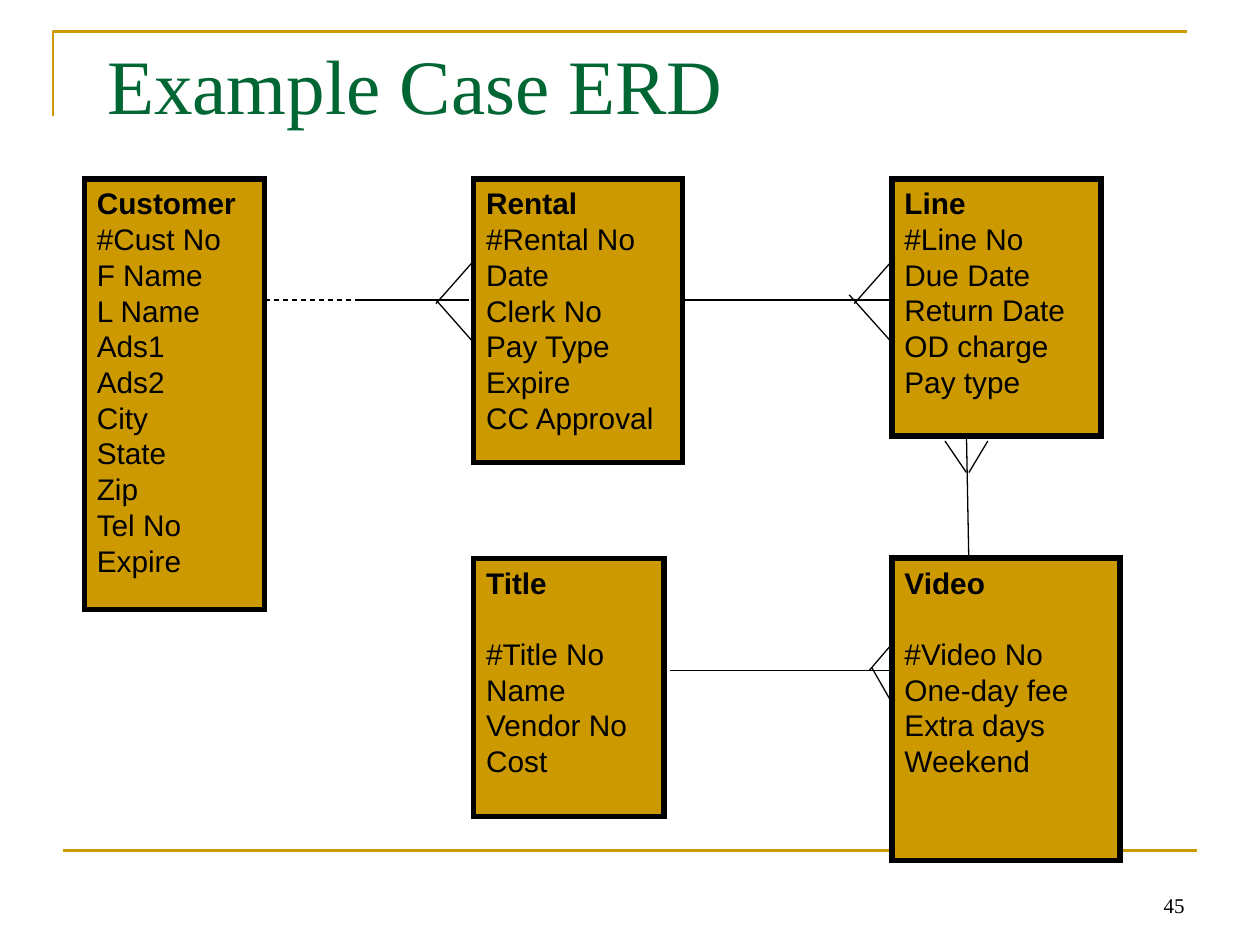
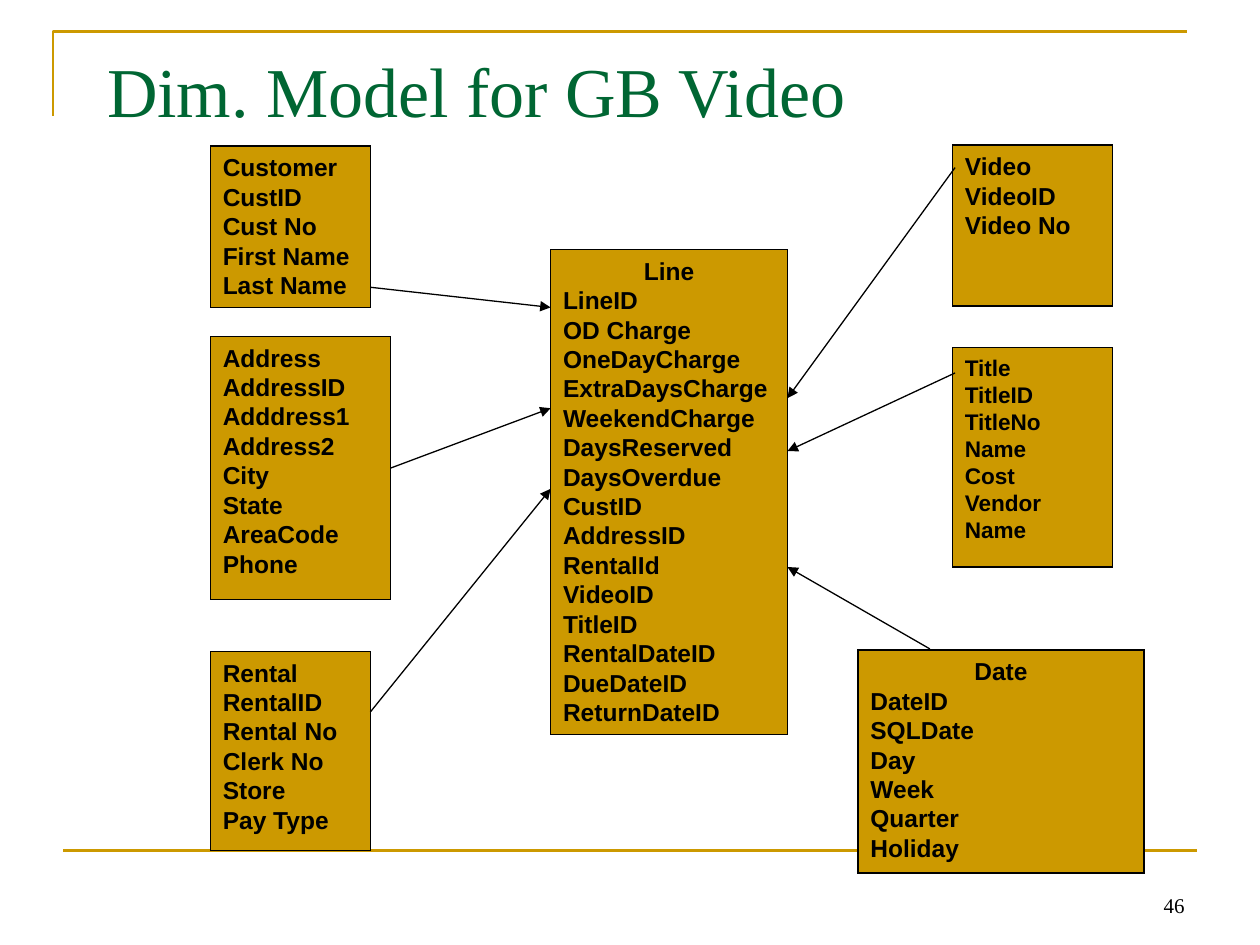
from dataclasses import dataclass

from lxml import etree
from pptx import Presentation
from pptx import util as u
from pptx.dml.color import RGBColor
from pptx.enum import dml, shapes, text
from pptx.oxml.ns import qn

PX = 9144  # EMU in one px, 100 px to the inch


@dataclass(frozen=True)
class Theme:
    gold: RGBColor = RGBColor(0xCC, 0x99, 0x00)
    green: RGBColor = RGBColor(0x00, 0x66, 0x33)
    ink: RGBColor = RGBColor(0, 0, 0)
    title_font: str = "Times New Roman"
    body_font: str = "Arial"
    number_size: float = 12
    erd_size: float = 17
    model_size: float = 14
    small_size: float = 12.9
    frame_line: float = 1.5
    thin_line: float = 0.75
    thick_line: float = 3


def px(*lengths):
    return [u.Emu(length * PX) for length in lengths]


class Deck:
    """Holds the style and the slide being drawn."""

    def __init__(self, theme):
        self.theme = theme
        self.prs = Presentation()
        self.prs.slide_width, self.prs.slide_height = px(1000, 750)
        self.slide = None

    def start(self, title, box, size, number):
        self.slide = self.prs.slides.add_slide(self.prs.slide_layouts[5])
        self.frame()
        self.title(title, box, size)
        self.number(number)

    def frame(self):
        corner = self.slide.shapes.build_freeform(42, 92, scale=PX)
        corner.add_line_segments([(42, 25), (942, 25)], close=False)
        bracket = corner.convert_to_shape()
        bracket.shadow.inherit = False
        bracket.fill.background()
        bracket.line.color.rgb = self.theme.gold
        bracket.line.width = u.Pt(self.theme.frame_line)
        self.line((50, 675), (950, 675), self.theme.gold, self.theme.frame_line)

    def font(self, paragraph, name, size, color, bold=False):
        font = paragraph.font
        font.name, font.size, font.bold = name, u.Pt(size), bold
        font.color.rgb = color

    def title(self, words, box, size):
        title = self.slide.shapes.title
        title.left, title.top, title.width, title.height = px(*box)
        frame = title.text_frame
        frame.text = words
        frame.word_wrap = True
        frame.auto_size = text.MSO_AUTO_SIZE.NONE
        frame.vertical_anchor = text.MSO_ANCHOR.TOP
        paragraph = frame.paragraphs[0]
        paragraph.alignment = text.PP_ALIGN.LEFT
        self.font(paragraph, self.theme.title_font, size, self.theme.green)

    def number(self, value):
        frame = self.slide.shapes.add_textbox(*px(717, 683, 233, 50)).text_frame
        frame.word_wrap = True
        frame.vertical_anchor = text.MSO_ANCHOR.BOTTOM
        paragraph = frame.paragraphs[0]
        paragraph.text = str(value)
        paragraph.alignment = text.PP_ALIGN.RIGHT
        self.font(paragraph, self.theme.title_font, self.theme.number_size, self.theme.ink)

    def entity(self, box, name, fields, size, border, bold_fields=False,
               name_gap=0, centre_name=False):
        entity = self.slide.shapes.add_shape(shapes.MSO_SHAPE.RECTANGLE, *px(*box))
        entity.shadow.inherit = False
        entity.fill.solid()
        entity.fill.fore_color.rgb = self.theme.gold
        entity.line.color.rgb = self.theme.ink
        entity.line.width = u.Pt(border)
        etree.SubElement(entity.line._get_or_add_ln(), qn("a:miter"), lim="800000")
        frame = entity.text_frame
        frame.word_wrap = True
        frame.vertical_anchor = text.MSO_ANCHOR.TOP
        frame.text = "\n".join([name, *fields])
        for row, paragraph in enumerate(frame.paragraphs):
            paragraph.alignment = text.PP_ALIGN.LEFT
            self.font(paragraph, self.theme.body_font, size, self.theme.ink,
                      bold=row == 0 or bold_fields)
        heading = frame.paragraphs[0]
        heading.space_after = u.Pt(name_gap)
        if centre_name:
            heading.alignment = text.PP_ALIGN.CENTER
        return entity

    def line(self, start, end, color=None, width=None, dashed=False, arrow=False):
        line = self.slide.shapes.add_connector(
            shapes.MSO_CONNECTOR.STRAIGHT, *px(*start, *end))
        line.line.color.rgb = color or self.theme.ink
        line.line.width = u.Pt(width or self.theme.thin_line)
        if dashed:
            line.line.dash_style = dml.MSO_LINE.DASH
        if arrow:
            etree.SubElement(line.line._get_or_add_ln(), qn("a:tailEnd"), type="triangle")
        etree.SubElement(line._element.spPr, qn("a:effectLst"))
        return line


def example_case_erd(deck):
    deck.start("Example Case ERD", (75, 25, 850, 125), 44, 45)

    # Relations, each followed by its crow's foot
    deck.line((210, 238), (286, 238), dashed=True)
    relations = [
        ((282, 238), (372, 238)),  # Customer to Rental
        ((346, 238), (376, 272)), ((346, 241), (376, 207)),
        ((542, 238), (708, 238)),  # Rental to Line
        ((678, 241), (708, 207)), ((674, 234), (708, 272)),
        ((767, 342), (769, 449)),  # Video to Line
        ((769, 375), (784, 350)), ((767, 375), (750, 350)),
        ((532, 532), (713, 532)),  # Title to Video
        ((690, 532), (708, 511)), ((692, 530), (708, 558)),
    ]
    for start, end in relations:
        deck.line(start, end)

    # Entities: box, name, fields, gap under the name
    one_line = 20.4
    entities = [
        ((67, 142, 143, 342), "Customer",
         ["#Cust No", "F Name", "L Name", "Ads1", "Ads2", "City", "State",
          "Zip", "Tel No", "Expire"], 0),
        ((376, 142, 166, 225), "Rental",
         ["#Rental No", "Date", "Clerk No", "Pay Type", "Expire", "CC Approval"], 0),
        ((708, 142, 166, 204), "Line",
         ["#Line No", "Due Date", "Return Date", "OD charge", "Pay type"], 0),
        ((708, 443, 181, 240), "Video",
         ["#Video No", "One-day fee", "Extra days", "Weekend"], one_line),
        ((376, 443, 151, 205), "Title",
         ["#Title No", "Name", "Vendor No", "Cost"], one_line),
    ]
    for box, name, fields, gap in entities:
        deck.entity(box, name, fields, deck.theme.erd_size,
                    deck.theme.thick_line, name_gap=gap)


def dimensional_model(deck):
    deck.start("Dim. Model for GB Video", (75, 33, 850, 84), 40, 46)
    theme = deck.theme

    # Fact table
    deck.entity((437, 198, 188, 385), "Line",
                ["LineID", "OD Charge", "OneDayCharge", "ExtraDaysCharge",
                 "WeekendCharge", "DaysReserved", "DaysOverdue", "CustID",
                 "AddressID", "RentalId", "VideoID", "TitleID", "RentalDateID",
                 "DueDateID", "ReturnDateID"],
                theme.model_size, theme.thin_line, bold_fields=True, centre_name=True)

    # Dimensions: box, name, fields, type size, arrow to the fact table
    dimensions = [
        ((167, 116, 127, 128), "Customer",
         ["CustID", "Cust No", "First Name", "Last Name"], theme.model_size,
         ((294, 228), (437, 244))),
        ((167, 267, 143, 209), "Address",
         ["AddressID", "Adddress1", "Address2", "City", "State", "AreaCode", "Phone"],
         theme.model_size, ((310, 372), (437, 324))),
        ((167, 517, 127, 158), "Rental",
         ["RentalID", "Rental No", "Clerk No", "Store", "Pay Type"], theme.model_size,
         ((294, 565), (437, 388))),
        ((756, 115, 127, 128), "Video",
         ["VideoID", "Video No"], theme.model_size,
         ((758, 133), (625, 316))),
        ((756, 276, 127, 174), "Title",
         ["TitleID", "TitleNo", "Name", "Cost", "Vendor Name"], theme.small_size,
         ((758, 296), (625, 358))),
        ((681, 516, 227, 177), "Date",
         ["DateID", "SQLDate", "Day", "Week", "Quarter", "Holiday"], theme.model_size,
         ((738, 515), (625, 450))),
    ]
    for box, name, fields, size, (start, end) in dimensions:
        dimension = deck.entity(box, name, fields, size, theme.thin_line,
                                bold_fields=True, centre_name=name == "Date")
        link = deck.line(start, end, arrow=True)
        if name == "Address":  # leaves from the middle of the right side
            link.begin_connect(dimension, 3)


def main():
    deck = Deck(Theme())
    example_case_erd(deck)
    dimensional_model(deck)
    deck.prs.save("out.pptx")


if __name__ == "__main__":
    main()
